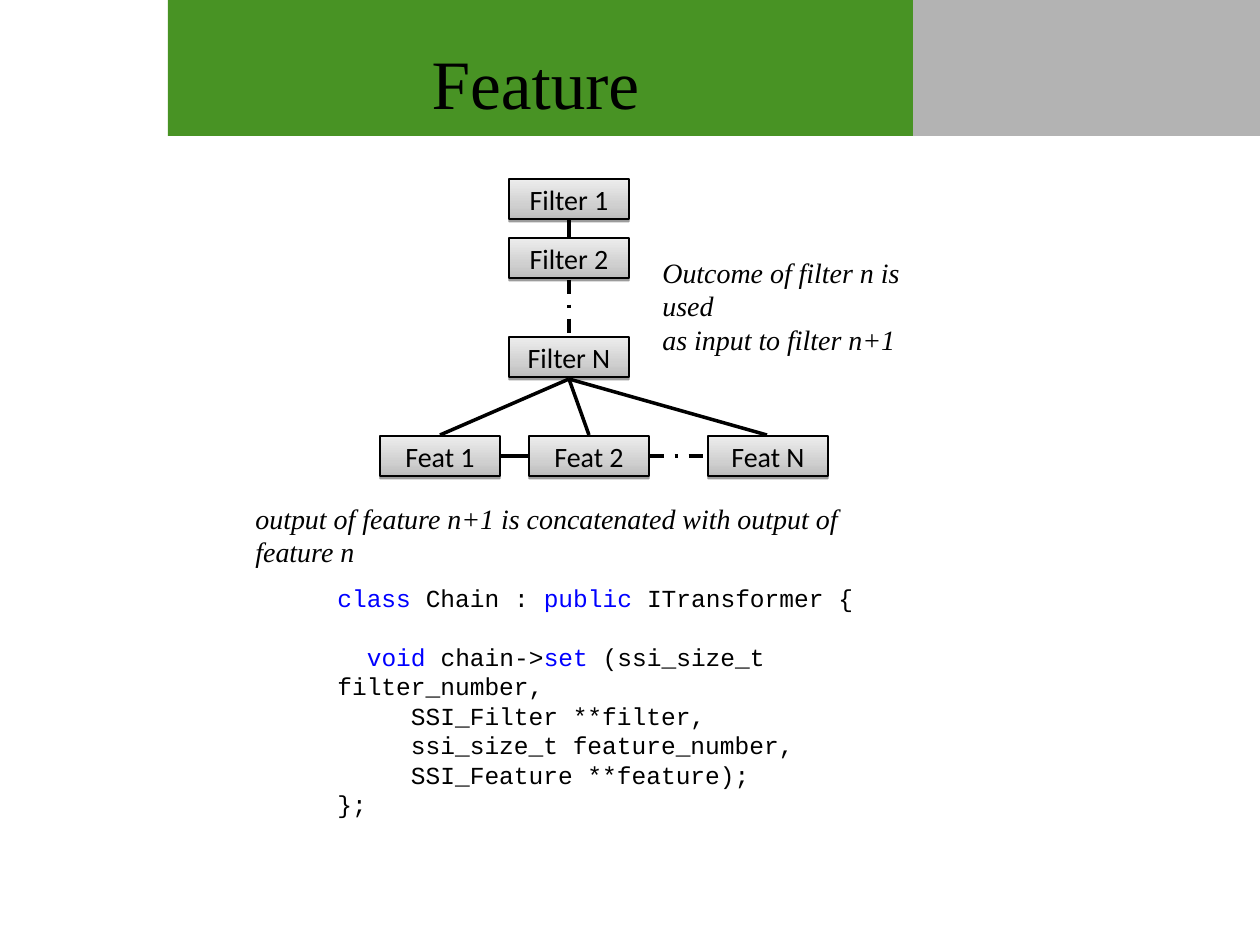
import pptx
import pptx.util
import pptx.oxml
import pptx.oxml.ns
import pptx.dml.color
import pptx.enum.dml
import pptx.enum.shapes
import pptx.enum.text

PX = 914400 / 126
COLORS = {
    "black": "000000",
    "keyword": "0000FF",
    "green": "489324",
    "gray": "B3B3B3",
    "box_bottom": "BCBCBC",
    "box_middle": "D0D0D0",
    "box_top": "EDEDED",
}
ALIGN = pptx.enum.text.PP_ALIGN
ANCHOR = pptx.enum.text.MSO_ANCHOR
RECTANGLE = pptx.enum.shapes.MSO_SHAPE.RECTANGLE
NAMESPACE = pptx.oxml.ns.nsdecls("a")


def px(*lengths):
    return [round(length * PX) for length in lengths]


def write(paragraph, text, font="Times New Roman", size=16, color="black",
          italic=False, align=None, spacing=None):
    run = paragraph.add_run()
    run.text = text
    run.font.name = font
    run.font.size = pptx.util.Pt(size)
    run.font.italic = italic
    run.font.color.rgb = pptx.dml.color.RGBColor.from_string(COLORS[color])
    if align is not None:
        paragraph.alignment = align
    if spacing is not None:
        paragraph.line_spacing = pptx.util.Pt(spacing)


presentation = pptx.Presentation()
presentation.slide_width = pptx.util.Inches(10)
presentation.slide_height = pptx.util.Inches(7.5)
slide = presentation.slides.add_slide(presentation.slide_layouts[5])
shapes = slide.shapes
title = shapes.title

for color, width in (("gray", 1092), ("green", 745)):
    band = shapes.add_shape(RECTANGLE, *px(168, 0, width, 136))
    band.shadow.inherit = False
    band.fill.solid()
    band.fill.fore_color.rgb = pptx.dml.color.RGBColor.from_string(COLORS[color])
    band.line.fill.background()
    title.element.addprevious(band.element)

title.left, title.top, title.width, title.height = px(168, 38, 735, 88)
title.text_frame.vertical_anchor = ANCHOR.MIDDLE
write(title.text_frame.paragraphs[0], "Feature", size=39.6, align=ALIGN.CENTER)

code = [
    [("class", "keyword"), (" Chain : ", "black"), ("public ", "keyword"),
     ("ITransformer {", "black")],
    [("  ", "black"), ("void ", "keyword"), ("chain->", "black"),
     ("set", "keyword"), (" (ssi_size_t filter_number,", "black")],
    [("     SSI_Filter **filter,", "black")],
    [("     ssi_size_t feature_number,", "black")],
    [("     SSI_Feature **feature);", "black")],
    [("};", "black")],
]
code_box = shapes.add_textbox(*px(325, 577, 640, 261))
code_box.text_frame.word_wrap = True
for index, line in enumerate(code):
    frame = code_box.text_frame
    paragraph = frame.add_paragraph() if index else frame.paragraphs[0]
    if index == 1:
        paragraph.space_before = pptx.util.Pt(16.8)
    for text, color in line:
        write(paragraph, text, font="Courier New", size=14, color=color, spacing=16.8)

boxes = [
    ("Filter 1", 509, 179), ("Filter 2", 509, 238), ("Filter N", 509, 337),
    ("Feat 1", 380, 436), ("Feat 2", 529, 436), ("Feat N", 708, 436),
]
for label, left, top in boxes:
    box = shapes.add_shape(RECTANGLE, *px(left, top, 120, 40))
    box.shadow.inherit = False
    box.line.color.rgb = pptx.dml.color.RGBColor.from_string(COLORS["black"])
    box.line.width = pptx.util.Pt(0.75)
    properties = box.element.spPr
    stops = "".join(
        f'<a:gs pos="{position * 1000}"><a:srgbClr val="{COLORS[color]}"/></a:gs>'
        for position, color in ((0, "box_bottom"), (35, "box_middle"), (100, "box_top")))
    gradient = pptx.oxml.parse_xml(
        f'<a:gradFill {NAMESPACE} rotWithShape="1"><a:gsLst>{stops}</a:gsLst>'
        '<a:lin ang="16200000" scaled="0"/></a:gradFill>')
    properties.find(pptx.oxml.ns.qn("a:ln")).addprevious(gradient)
    properties.find(pptx.oxml.ns.qn("a:effectLst")).append(pptx.oxml.parse_xml(
        f'<a:outerShdw {NAMESPACE} blurRad="0" dist="20000" dir="5400000" rotWithShape="0">'
        f'<a:srgbClr val="{COLORS["black"]}"><a:alpha val="38000"/></a:srgbClr></a:outerShdw>'))
    box.text_frame.word_wrap = False
    box.text_frame.vertical_anchor = ANCHOR.MIDDLE
    write(box.text_frame.paragraphs[0], label, font="Calibri", align=ALIGN.CENTER)

links = [
    (569, 220, 569, 237, False), (569, 280, 569, 335, True),
    (501, 456, 528, 456, False), (650, 456, 706, 456, True),
    (569, 379, 440, 435, False), (569, 379, 589, 435, False),
    (569, 379, 767, 435, False),
]
for *ends, dashed in links:
    link = shapes.add_connector(pptx.enum.shapes.MSO_CONNECTOR.STRAIGHT, *px(*ends))
    link.line.color.rgb = pptx.dml.color.RGBColor.from_string(COLORS["black"])
    link.line.width = pptx.util.Pt(2)
    if dashed:
        link.line.dash_style = pptx.enum.dml.MSO_LINE.DASH_DOT
    link.element.spPr.append(pptx.oxml.parse_xml(f"<a:effectLst {NAMESPACE}/>"))

notes = [
    (650, 249, 307, 81, ["Outcome of filter n is used", "as input to filter n+1"]),
    (243, 495, 673, 47, ["output of feature n+1 is concatenated with output of feature n"]),
]
for left, top, width, height, lines in notes:
    note = shapes.add_textbox(*px(left, top, width, height))
    note.text_frame.word_wrap = True
    for index, text in enumerate(lines):
        frame = note.text_frame
        paragraph = frame.add_paragraph() if index else frame.paragraphs[0]
        write(paragraph, text, italic=True, spacing=19.2)

presentation.save("out.pptx")
